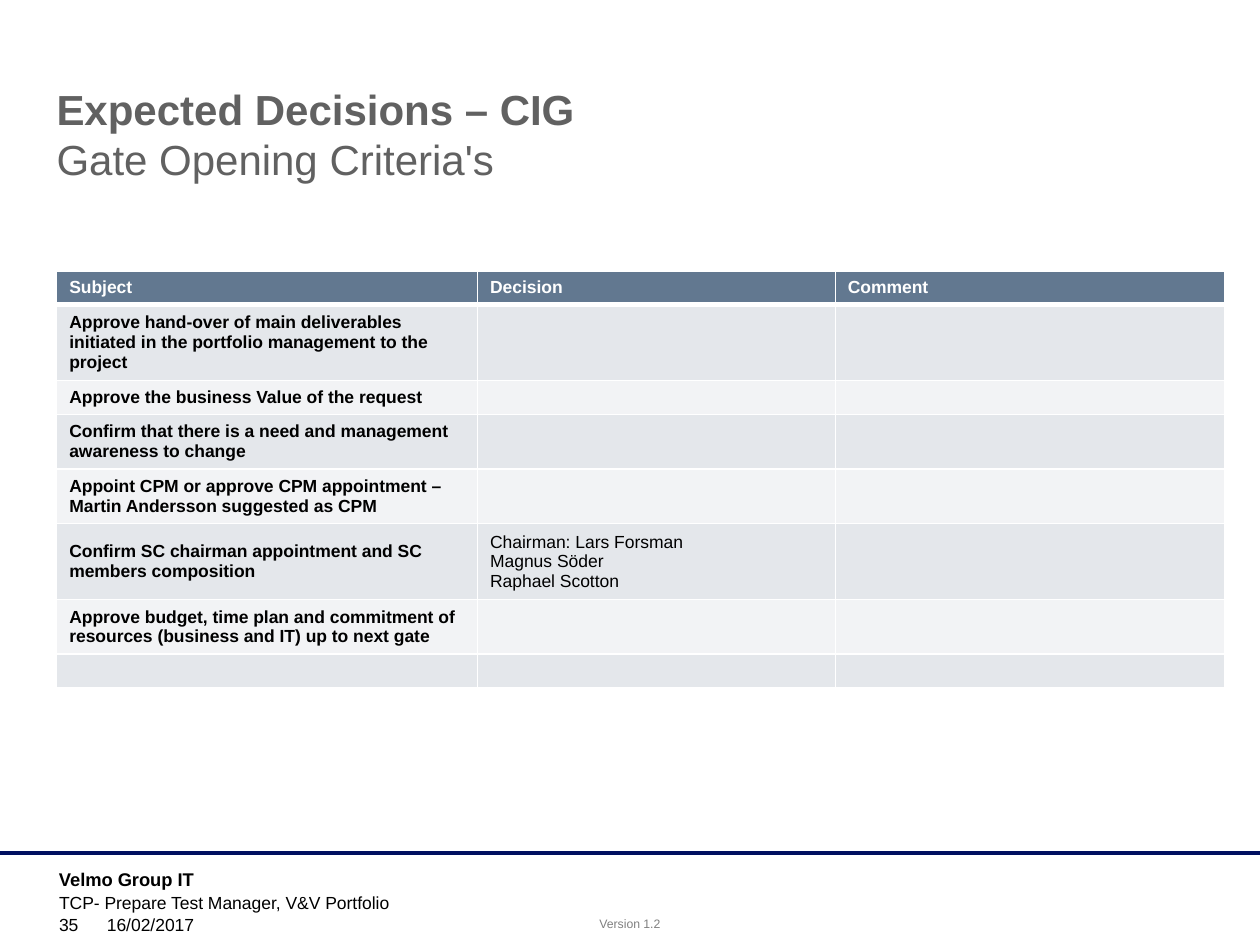
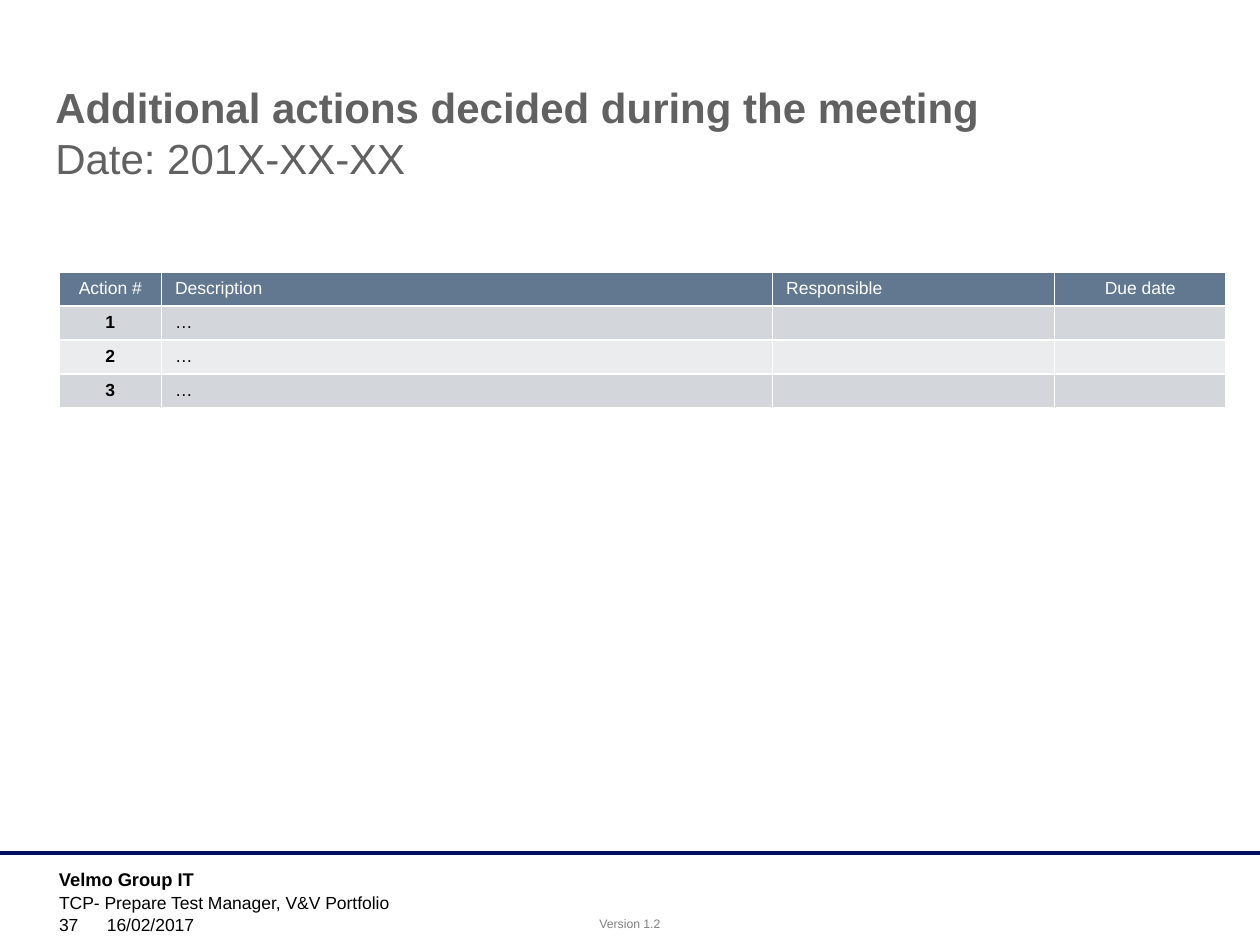
from dataclasses import dataclass
from typing import Any

from lxml.etree import SubElement as Sub
from pptx import Presentation
from pptx.dml.color import RGBColor
from pptx.enum.shapes import MSO_CONNECTOR as Link
from pptx.enum.text import MSO_ANCHOR as Anchor, PP_ALIGN as Align
from pptx.oxml.ns import qn
from pptx.util import Inches, Pt

FONT = "Arial"
BLACK = RGBColor(0x00, 0x00, 0x00)
WHITE = RGBColor(0xFF, 0xFF, 0xFF)
GREY = RGBColor(0x80, 0x80, 0x80)
TITLE = RGBColor(0x61, 0x61, 0x61)
NAVY = RGBColor(0x00, 0x0F, 0x60)
STEEL = RGBColor(0x62, 0x78, 0x90)
PALE = (RGBColor(0xE4, 0xE7, 0xEB), RGBColor(0xF2, 0xF3, 0xF5))
SOFT = (RGBColor(0xD3, 0xD6, 0xDB), RGBColor(0xEA, 0xEC, 0xEE))


@dataclass
class Label:
    text: str
    left: float
    top: float
    width: float
    height: float
    size: float = 10
    bold: bool = False
    color: RGBColor = BLACK
    align: Any = Align.LEFT
    anchor: Any = Anchor.TOP


@dataclass
class Grid:
    left: float
    top: float
    cols: tuple[float, ...]
    rows: tuple[float, ...]
    cells: list[tuple[str, ...]]
    bands: tuple[RGBColor, RGBColor]
    rule: float  # width of the line under the header, in points
    bold: bool  # bold header
    anchor: Any
    inset: float
    mid: tuple[int, ...] = ()  # centred columns


@dataclass
class Page:
    number: str
    head: str
    sub: str
    left: float
    top: float
    grid: Grid


FOOT = (
    Label("Velmo Group IT", 0.37, 6.84, 2.33, 0.24, 10.5, True),
    Label("Version 1.2", 4.65, 7.22, 0.7, 0.22, 7, False, GREY, Align.CENTER),
    Label("TCP- Prepare Test Manager, V&V Portfolio", 0.37, 7.03, 7.52, 0.24),
    Label("16/02/2017", 0.75, 7.24, 2.63, 0.23, anchor=Anchor.BOTTOM),
)

GATES = Grid(
    0.45, 2.15, (3.34, 2.84, 3.09),
    (0.26, 0.6, 0.27, 0.43, 0.43, 0.6, 0.43, 0.27),
    [
        ("Subject", "Decision", "Comment"),
        ("Approve hand-over of main deliverables initiated in the portfolio "
         "management to the project",),
        ("Approve the business Value of the request",),
        ("Confirm that there is a need and management awareness to change",),
        ("Appoint CPM or approve CPM appointment – Martin Andersson suggested as CPM",),
        ("Confirm SC chairman appointment and SC members composition",
         "Chairman: Lars Forsman\nMagnus Söder\nRaphael Scotton"),
        ("Approve budget, time plan and commitment of resources "
         "(business and IT) up to next gate",),
        (),
    ],
    PALE, 3, True, Anchor.MIDDLE, 0.1,
)

TASKS = Grid(
    0.47, 2.16, (0.81, 4.85, 2.24, 1.36), (0.27,) * 4,
    [("Action #", "Description", "Responsible", "Due date")]
    + [(str(n), "…") for n in range(1, 4)],
    SOFT, 1, False, Anchor.TOP, 0.11, (0, 3),
)

PAGES = (
    Page("35", "Expected Decisions – CIG", "Gate Opening Criteria's", 0.35, 0.61, GATES),
    Page("37", "Additional actions decided during the meeting",
         "Date: 201X-XX-XX", 0.34, 0.6, TASKS),
)


def style(run: Any, size: float, bold: bool, color: RGBColor) -> None:
    form = {"name": FONT, "size": Pt(size), "bold": bold}
    for key, value in form.items():
        setattr(run.font, key, value)
    run.font.color.rgb = color


def add_label(slide: Any, item: Label) -> Any:
    area = map(Inches, (item.left, item.top, item.width, item.height))
    frame = slide.shapes.add_textbox(*area).text_frame
    frame.word_wrap = item.align != Align.CENTER
    frame.vertical_anchor = item.anchor
    para = frame.paragraphs[0]
    para.alignment = item.align
    run = para.add_run()
    run.text = item.text
    style(run, item.size, item.bold, item.color)
    return para


def add_title(slide: Any, page: Page) -> None:
    para = add_label(slide, Label(page.head, page.left, page.top, 9.38, 0.84,
                                  24, True, TITLE))
    para.add_line_break()
    run = para.add_run()
    run.text = page.sub
    style(run, 24, False, TITLE)


def add_foot(slide: Any, number: str) -> None:
    line = slide.shapes.add_connector(Link.STRAIGHT, 0, Inches(6.77),
                                      Inches(10), Inches(6.77))
    line.line.color.rgb = NAVY
    line.line.width = Pt(2)
    Sub(line._element.spPr, qn("a:effectLst"))
    page_no = Label(number, 0.37, 7.24, 0.55, 0.23, anchor=Anchor.BOTTOM)
    for item in (*FOOT, page_no):
        add_label(slide, item)


def edge(cell: Any, top: float, base: float) -> None:
    """Draw white borders; the fill must be set afterwards."""
    props = cell._tc.get_or_add_tcPr()
    for side, width in {"L": 1, "R": 1, "T": top, "B": base}.items():
        line = Sub(props, qn(f"a:ln{side}"), w=str(Pt(width)))
        fill = Sub(line, qn("a:solidFill"))
        Sub(fill, qn("a:srgbClr"), val=str(WHITE))


def fill_cell(cell: Any, grid: Grid, row: int, col: int) -> None:
    head = row == 0
    edge(cell, grid.rule if row == 1 else 1, grid.rule if head else 1)
    cell.fill.solid()
    cell.fill.fore_color.rgb = STEEL if head else grid.bands[(row - 1) % 2]
    form = {"vertical_anchor": grid.anchor, "margin_left": Inches(grid.inset),
            "margin_right": Inches(grid.inset), "margin_top": Inches(0.05),
            "margin_bottom": Inches(0.05)}
    for key, value in form.items():
        setattr(cell, key, value)
    words = grid.cells[row]
    cell.text = words[col] if col < len(words) else ""
    for para in cell.text_frame.paragraphs:
        para.alignment = Align.CENTER if col in grid.mid else Align.LEFT
        for run in para.runs:
            style(run, 10, grid.bold if head else col == 0,
                  WHITE if head else BLACK)
        if not para.runs:
            # Keeps blank rows low
            Sub(para._p, qn("a:endParaRPr"), sz="1000")


def add_grid(slide: Any, grid: Grid) -> None:
    area = map(Inches, (grid.left, grid.top, sum(grid.cols), sum(grid.rows)))
    table = slide.shapes.add_table(len(grid.rows), len(grid.cols), *area).table
    for col, width in enumerate(grid.cols):
        table.columns[col].width = Inches(width)
    for row, height in enumerate(grid.rows):
        table.rows[row].height = Inches(height)
        for col in range(len(grid.cols)):
            fill_cell(table.cell(row, col), grid, row, col)


def main() -> None:
    deck = Presentation()
    deck.slide_width, deck.slide_height = Inches(10), Inches(7.5)
    for page in PAGES:
        slide = deck.slides.add_slide(deck.slide_layouts[6])
        add_foot(slide, page.number)
        add_title(slide, page)
        add_grid(slide, page.grid)
    deck.save("out.pptx")


if __name__ == "__main__":
    main()
